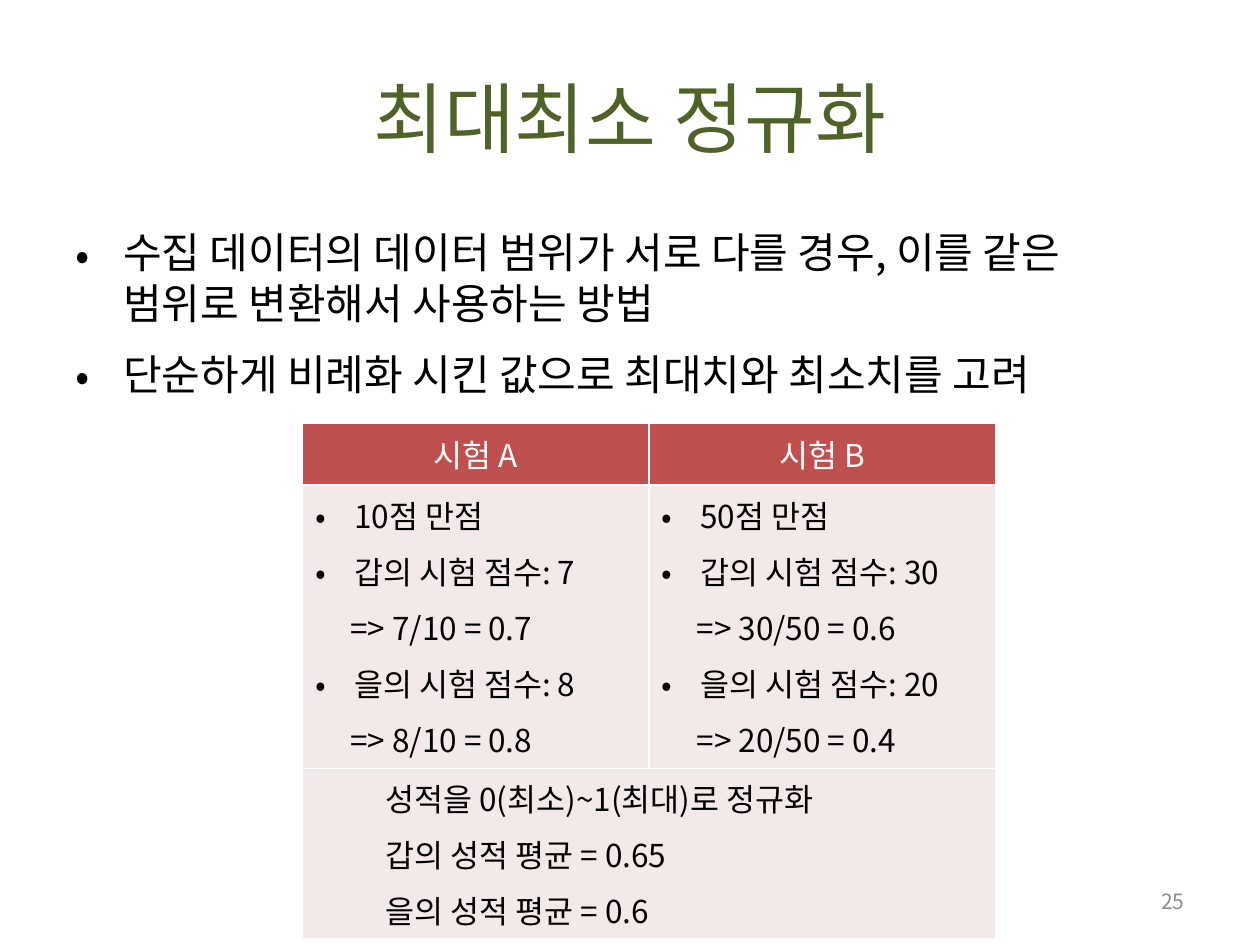
from lxml.etree import SubElement
from pptx import Presentation
from pptx.dml.color import RGBColor
from pptx.enum.text import MSO_ANCHOR, PP_ALIGN
from pptx.oxml.ns import qn
from pptx.util import Inches, Pt

FONT = "Noto Sans CJK KR"
GREEN = RGBColor(0x4F, 0x62, 0x28)
BLACK = RGBColor(0, 0, 0)
WHITE = RGBColor(0xFF, 0xFF, 0xFF)
GRAY = RGBColor(0x8C, 0x8C, 0x8C)
RED = RGBColor(0xC0, 0x50, 0x4D)
PINK = RGBColor(0xF4, 0xE9, 0xE9)

TITLE = "최대최소 정규화"
POINTS = [
    "수집 데이터의 데이터 범위가 서로 다를 경우, 이를 같은 범위로 변환해서 사용하는 방법",
    "단순하게 비례화 시킨 값으로 최대치와 최소치를 고려",
]
EXAMS = [
    ("시험 A", ["10점 만점", "갑의 시험 점수: 7", "=> 7/10 = 0.7",
              "을의 시험 점수: 8", "=> 8/10 = 0.8"]),
    ("시험 B", ["50점 만점", "갑의 시험 점수: 30", "=> 30/50 = 0.6",
              "을의 시험 점수: 20", "=> 20/50 = 0.4"]),
]
SUMMARY = ["성적을 0(최소)~1(최대)로 정규화", "갑의 성적 평균 = 0.65", "을의 성적 평균 = 0.6"]
PAGE_NUMBER = "25"
ROW_HEIGHTS = [0.49, 2.25, 1.35]
COLUMN_WIDTH = 2.75


def write(frame, lines, size, color, align=PP_ALIGN.LEFT, before=0):
    frame.text = "\n".join(lines)
    frame.word_wrap = True
    for para in frame.paragraphs:
        para.alignment = align
        para.space_before = Pt(before)
        for span in para.runs:
            span.font.size = Pt(size)
            span.font.bold = False
            span.font.name = FONT
            span.font.color.rgb = color
            SubElement(span.font._element, qn("a:ea"), typeface=FONT)


def indent(para, left, bullet=False):
    props = para._p.get_or_add_pPr()
    props.set("marL", str(Inches(left)))
    props.set("indent", str(-Inches(left) if bullet else 0))
    if bullet:
        SubElement(props, qn("a:buFont"), typeface=FONT)
        SubElement(props, qn("a:buChar"), char="•")


def add_text(page, place, *style):
    box = page.shapes.add_textbox(*map(Inches, place))
    write(box.text_frame, *style)
    return box.text_frame


def fill_cell(cell, fill, *style):
    cell.fill.solid()
    cell.fill.fore_color.rgb = fill
    cell.vertical_anchor = MSO_ANCHOR.MIDDLE
    write(cell.text_frame, *style)
    return cell.text_frame.paragraphs


def add_exam_table(page):
    width = COLUMN_WIDTH * len(EXAMS)
    frame = page.shapes.add_table(len(ROW_HEIGHTS), len(EXAMS), Inches(2.4), Inches(3.36),
                                  Inches(width), Inches(sum(ROW_HEIGHTS)))
    table = frame.table
    for row, height in zip(table.rows, ROW_HEIGHTS):
        row.height = Inches(height)
    for column, (name, lines) in enumerate(EXAMS):
        table.columns[column].width = Inches(COLUMN_WIDTH)
        fill_cell(table.cell(0, column), RED, [name], 18, WHITE, PP_ALIGN.CENTER)
        paras = fill_cell(table.cell(1, column), PINK, lines, 18, BLACK, PP_ALIGN.LEFT, 6)
        for para, line in zip(paras, lines):
            if line.startswith("=>"):
                indent(para, 0.28)
            else:
                indent(para, 0.31, bullet=True)
    total = table.cell(2, 0)
    total.merge(table.cell(2, len(EXAMS) - 1))
    for para in fill_cell(total, PINK, SUMMARY, 18, BLACK, PP_ALIGN.LEFT, 6):
        indent(para, 0.56)


def main():
    deck = Presentation()
    deck.slide_width, deck.slide_height = Inches(10), Inches(7.5)
    page = deck.slides.add_slide(deck.slide_layouts[5])

    title = page.shapes.title
    title.left, title.top, title.width, title.height = map(Inches, (0.5, 0.3, 9, 1.25))
    title.text_frame.vertical_anchor = MSO_ANCHOR.MIDDLE
    write(title.text_frame, [TITLE], 44, GREEN, PP_ALIGN.CENTER)

    body = add_text(page, (0.5, 1.75, 9, 4.95), POINTS, 24, BLACK, PP_ALIGN.LEFT, 12)
    for para in body.paragraphs:
        indent(para, 0.38, bullet=True)

    number = add_text(page, (7.17, 6.95, 2.33, 0.4), [PAGE_NUMBER], 12, GRAY, PP_ALIGN.RIGHT)
    number.vertical_anchor = MSO_ANCHOR.MIDDLE

    add_exam_table(page)
    deck.save("out.pptx")


if __name__ == "__main__":
    main()
